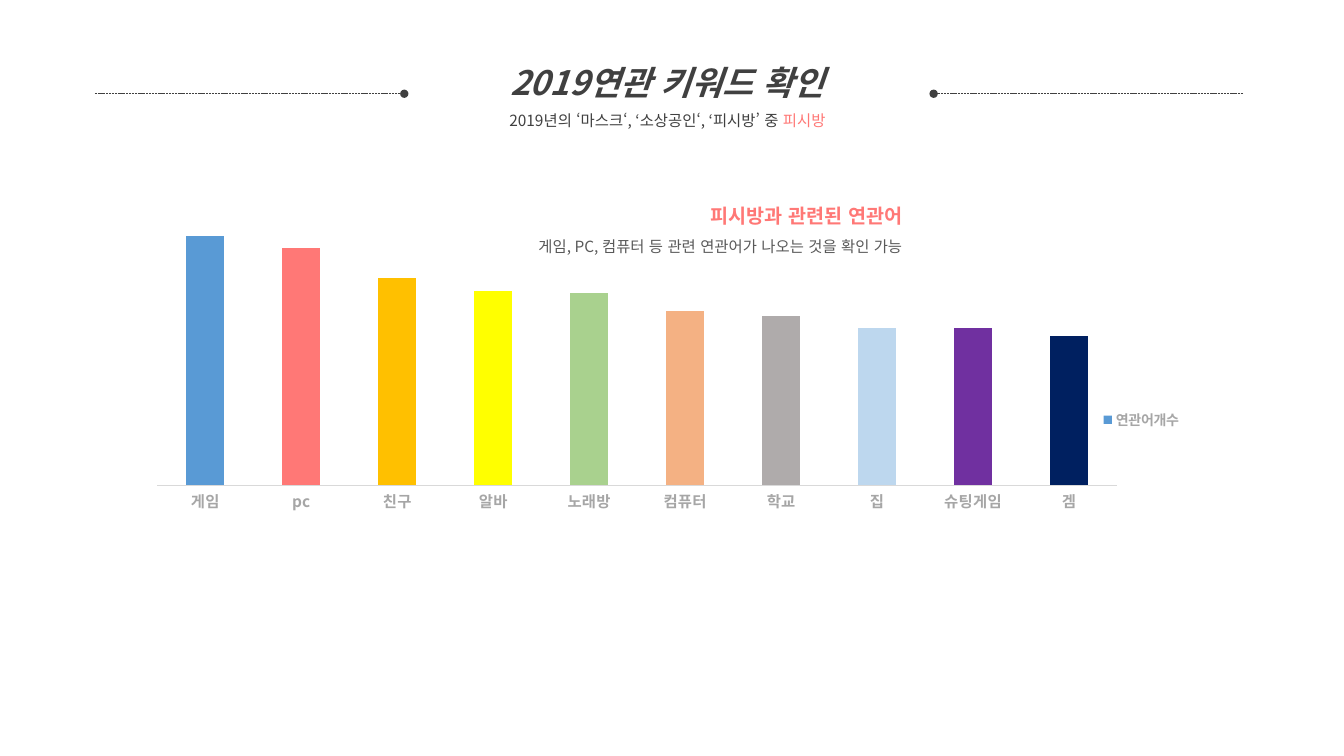
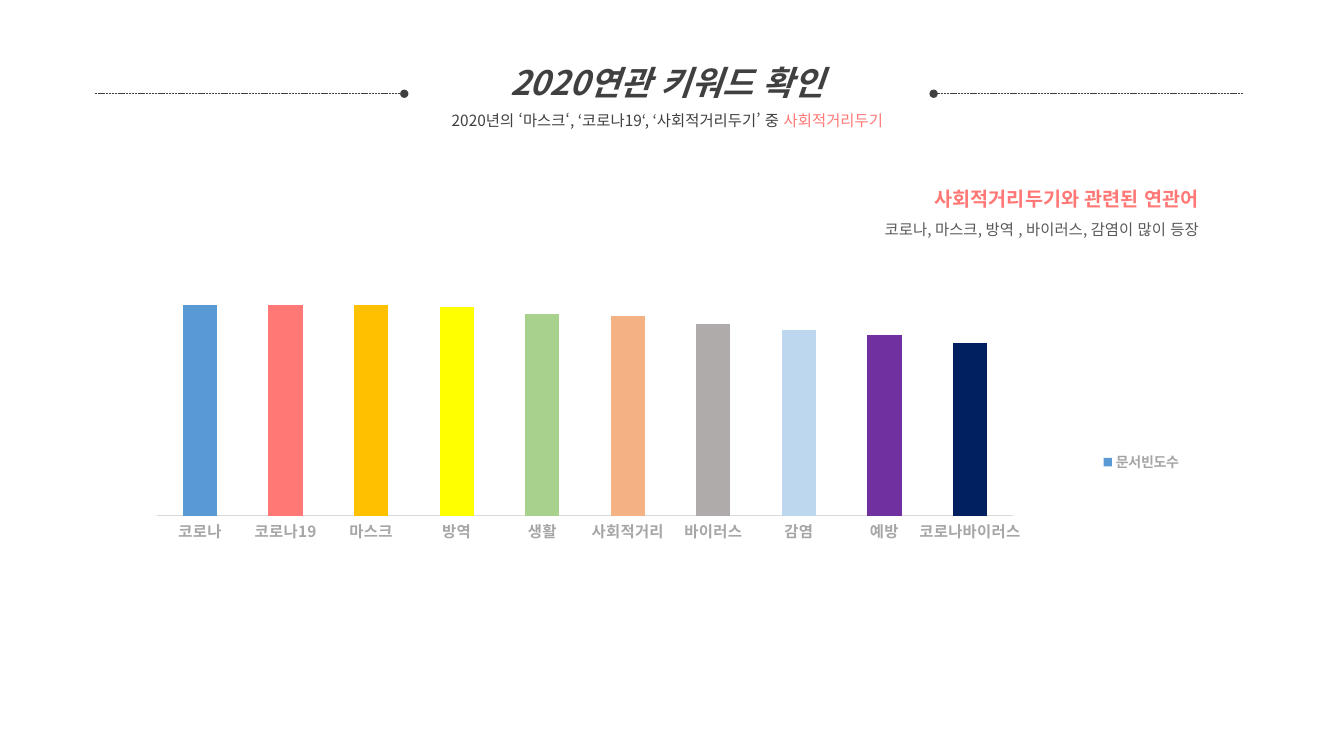
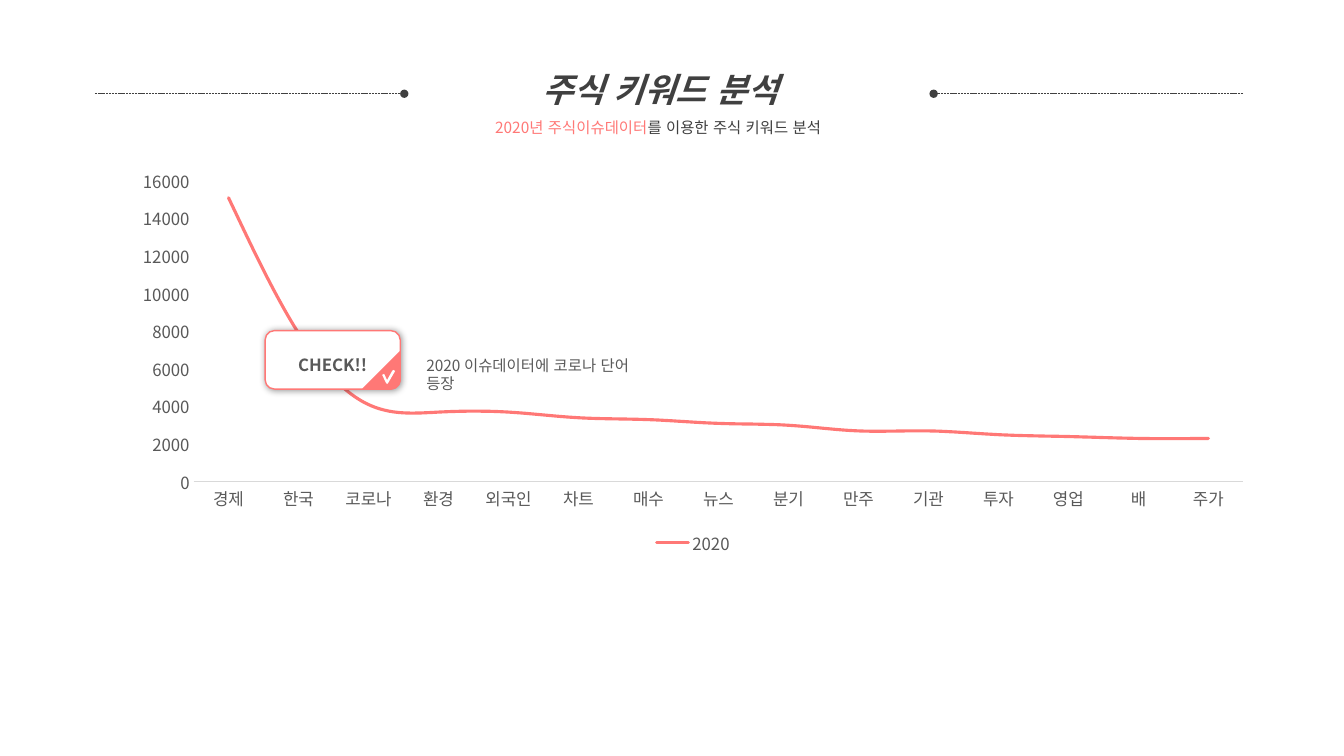
from math import cos, radians, sin

from lxml import etree
from pptx import Presentation
from pptx.chart.data import CategoryChartData
from pptx.dml.color import RGBColor
from pptx.enum.chart import XL_CHART_TYPE, XL_LEGEND_POSITION, XL_TICK_MARK
from pptx.enum.dml import MSO_LINE
from pptx.enum.lang import MSO_LANGUAGE_ID
from pptx.enum.shapes import MSO_CONNECTOR, MSO_SHAPE
from pptx.enum.text import MSO_ANCHOR, MSO_AUTO_SIZE, PP_ALIGN
from pptx.oxml import parse_xml
from pptx.oxml.ns import nsdecls, qn
from pptx.util import Inches, Pt

LEFT, CENTER, RIGHT = PP_ALIGN.LEFT, PP_ALIGN.CENTER, PP_ALIGN.RIGHT
NO_TICK = XL_TICK_MARK.NONE
KOREAN = MSO_LANGUAGE_ID.KOREAN
FONT = "Noto Sans CJK KR"
COLORS = {
    "white": "FFFFFF", "dark": "404040", "body": "595959", "label": "A6A6A6",
    "axis": "D9D9D9", "coral": "FF7876", "blue": "599AD5", "amber": "FFC000",
    "yellow": "FFFF00", "green": "A9D18E", "orange": "F4B183", "gray": "AFABAB",
    "sky": "BDD7EE", "purple": "7030A0", "navy": "002060",
}
RGB = {name: RGBColor.from_string(value) for name, value in COLORS.items()}
BAR_COLORS = ["blue", "coral", "amber", "yellow", "green",
              "orange", "gray", "sky", "purple", "navy"]

# Text formats
TITLE = {"size": Pt(24), "bold": True, "italic": True, "color": "dark"}
SUBTITLE = {"size": Pt(11), "color": "dark"}
ACCENT = {"size": Pt(11), "color": "coral"}
HEADING = {"size": Pt(14), "bold": True, "color": "coral"}
BODY = {"size": Pt(11), "color": "body"}
CARD = {"size": Pt(12), "bold": True, "color": "body"}
BAR_LABEL = {"size": Pt(11), "bold": True, "color": "label"}
BAR_LEGEND = {"size": Pt(10), "bold": True, "color": "label"}
LINE_LABEL = {"size": Pt(12), "color": "body"}


def set_font(font, style):
    for name, value in style.items():
        if name == "color":
            font.color.rgb = RGB[value]
        else:
            setattr(font, name, value)
    font.name = FONT
    etree.SubElement(font._element, qn("a:ea"), typeface=FONT)


def fill_text(frame, paragraphs, align, spacing):
    frame.word_wrap = True
    for index, runs in enumerate(paragraphs):
        paragraph = frame.paragraphs[0] if index == 0 else frame.add_paragraph()
        paragraph.alignment = align
        paragraph.line_spacing = spacing
        for text, style in runs:
            run = paragraph.add_run()
            run.text = text
            set_font(run.font, style)
            run.font.language_id = KOREAN


presentation = Presentation()
presentation.slide_width = Inches(13.33)
presentation.slide_height = Inches(7.5)

# Slide headers: box position and paragraphs
headers = [
    (4.04, 0.36, [
        [("2019연관 키워드 확인", TITLE)],
        [("2019년의 ‘마스크‘, ‘소상공인‘, ‘피시방’ 중 ", SUBTITLE), ("피시방", ACCENT)]]),
    (4.04, 0.36, [
        [("2020연관 키워드 확인", TITLE)],
        [("2020년의 ‘마스크‘, ‘코로나19‘, ‘사회적거리두기’ 중 ", SUBTITLE),
         ("사회적거리두기", ACCENT)]]),
    (3.97, 0.43, [
        [("주식 키워드 분석", TITLE)],
        [("2020년 주식이슈데이터", ACCENT), ("를 이용한 주식 키워드 분석 ", SUBTITLE)]]),
]
slides = []
for left, top, paragraphs in headers:
    slide = presentation.slides.add_slide(presentation.slide_layouts[6])
    slides.append(slide)
    for start, end in ((0.94, 4.01), (12.33, 9.26)):
        rule = slide.shapes.add_connector(MSO_CONNECTOR.STRAIGHT, Inches(start),
                                          Inches(0.93), Inches(end), Inches(0.93))
        rule.line.color.rgb = RGB["dark"]
        rule.line.width = Pt(0.5)
        rule.line.dash_style = MSO_LINE.SQUARE_DOT
        etree.SubElement(rule.line._get_or_add_ln(), qn("a:tailEnd"), type="oval")
        etree.SubElement(rule._element.spPr, qn("a:effectLst"))
    title_box = slide.shapes.add_textbox(Inches(left), Inches(top),
                                         Inches(5.16), Inches(0.98))
    fill_text(title_box.text_frame, paragraphs, CENTER, 1.5)
    title_box.text_frame.auto_size = MSO_AUTO_SIZE.SHAPE_TO_FIT_TEXT

# Keyword column charts
keyword_pages = [
    {"series": "연관어개수", "top": 1.86, "height": 4.61, "plot_width": 0.864, "maximum": 112,
     "values": {"게임": 100, "pc": 95, "친구": 83, "알바": 78, "노래방": 77, "컴퓨터": 70,
                "학교": 68, "집": 63, "슈팅게임": 63, "겜": 60},
     "note_at": (4.04, 1.86),
     "note": [[("피시방과 관련된 연관어", HEADING)],
              [("게임, PC, 컴퓨터 등 관련 연관어가 나오는 것을 확인 가능", BODY)]]},
    {"series": "문서빈도수", "top": 2.7, "height": 3.77, "plot_width": 0.77, "maximum": 108.5,
     "values": {"코로나": 100, "코로나19": 100, "마스크": 100, "방역": 99, "생활": 96,
                "사회적거리": 95, "바이러스": 91, "감염": 88, "예방": 86, "코로나바이러스": 82},
     "note_at": (6.98, 1.69),
     "note": [[("사회적거리두기와 관련된 연관어", HEADING)],
              [("코로나, 마스크, 방역 , 바이러스, 감염이 많이 등장", BODY)]]},
]
for slide, page in zip(slides, keyword_pages):
    data = CategoryChartData()
    data.categories = list(page["values"])
    data.add_series(page["series"], list(page["values"].values()))
    chart = slide.shapes.add_chart(
        XL_CHART_TYPE.COLUMN_CLUSTERED, Inches(0.8), Inches(page["top"]),
        Inches(11.02), Inches(page["height"]), data).chart
    chart.has_title = False
    set_font(chart.font, BAR_LEGEND)

    plot = chart.plots[0]
    plot.vary_by_categories = False
    plot.gap_width = 150
    series = plot.series[0]
    series.format.fill.solid()
    series.format.fill.fore_color.rgb = RGB["blue"]
    for index, color in enumerate(BAR_COLORS[1:], start=1):
        fill = series.points[index].format.fill
        fill.solid()
        fill.fore_color.rgb = RGB[color]

    chart.value_axis.minimum_scale = 0
    chart.value_axis.maximum_scale = page["maximum"]
    chart.value_axis.has_major_gridlines = False
    chart.value_axis.visible = False
    chart.category_axis.major_tick_mark = NO_TICK
    chart.category_axis.format.line.color.rgb = RGB["axis"]
    chart.category_axis.format.line.width = Pt(0.75)
    set_font(chart.category_axis.tick_labels.font, BAR_LABEL)
    chart.has_legend = True
    chart.legend.position = XL_LEGEND_POSITION.RIGHT
    chart.legend.include_in_layout = False
    set_font(chart.legend.font, BAR_LEGEND)

    # Fixed inner plot area
    plot_area = chart._chartSpace.find(".//" + qn("c:plotArea"))
    for layout in plot_area.findall(qn("c:layout")):
        plot_area.remove(layout)
    plot_area.insert(0, parse_xml(
        f'<c:layout {nsdecls("c")}><c:manualLayout><c:layoutTarget val="inner"/>'
        '<c:xMode val="edge"/><c:yMode val="edge"/><c:x val="0.069"/><c:y val="0.04"/>'
        f'<c:w val="{page["plot_width"]}"/><c:h val="0.601"/></c:manualLayout></c:layout>'))

    left, top = page["note_at"]
    note_box = slide.shapes.add_textbox(Inches(left), Inches(top), Inches(5.01), Inches(0.73))
    fill_text(note_box.text_frame, page["note"], RIGHT, 1.5)
    note_box.text_frame.auto_size = MSO_AUTO_SIZE.SHAPE_TO_FIT_TEXT

# Stock keyword line chart, with an empty second series kept out of the legend
slide = slides[2]
stock_keywords = {
    "경제": 15100, "한국": 7900, "코로나": 4100, "환경": 3700, "외국인": 3700,
    "차트": 3400, "매수": 3300, "뉴스": 3100, "분기": 3000, "만주": 2700,
    "기관": 2700, "투자": 2500, "영업": 2400, "배": 2300, "주가": 2300,
}
data = CategoryChartData()
data.categories = list(stock_keywords)
data.add_series("2020", list(stock_keywords.values()))
data.add_series("Series 2", [None] * len(stock_keywords))
chart = slide.shapes.add_chart(XL_CHART_TYPE.LINE, Inches(1.19), Inches(1.59),
                               Inches(11.37), Inches(3.96), data).chart
chart.has_title = False
set_font(chart.font, LINE_LABEL)
chart.plots[0].vary_by_categories = False
for series, color in zip(chart.plots[0].series, ("coral", "blue")):
    series.smooth = True
    series.format.line.color.rgb = RGB[color]
    series.format.line.width = Pt(2.25)
    series.format.line._get_or_add_ln().set("cap", "rnd")
for axis in (chart.category_axis, chart.value_axis):
    axis.major_tick_mark = NO_TICK
    axis.has_major_gridlines = False
    set_font(axis.tick_labels.font, LINE_LABEL)
chart.category_axis.format.line.color.rgb = RGB["axis"]
chart.category_axis.format.line.width = Pt(0.75)
chart.value_axis.format.line.fill.background()
chart.value_axis.minimum_scale = 0
chart.value_axis.maximum_scale = 16000
chart.value_axis.major_unit = 2000
chart.has_legend = True
chart.legend.position = XL_LEGEND_POSITION.BOTTOM
chart.legend.include_in_layout = False
set_font(chart.legend.font, LINE_LABEL)
chart._chartSpace.find(".//" + qn("c:legendPos")).addnext(parse_xml(
    f'<c:legendEntry {nsdecls("c")}><c:idx val="1"/><c:delete val="1"/></c:legendEntry>'))

# Check card with a soft shadow
group = slide.shapes.add_group_shape()
card = group.shapes.add_shape(MSO_SHAPE.ROUNDED_RECTANGLE, Inches(2.63), Inches(3.28),
                              Inches(1.34), Inches(0.58))
card.adjustments[0] = 0.16
card.fill.solid()
card.fill.fore_color.rgb = RGB["white"]
card.line.color.rgb = RGB["coral"]
card.line.width = Pt(1)
card._element.spPr.append(parse_xml(
    f'<a:effectLst {nsdecls("a")}><a:outerShdw blurRad="{Pt(5)}" dist="{Pt(1)}" '
    'dir="2700000" algn="tl" rotWithShape="0"><a:srgbClr val="000000">'
    '<a:alpha val="40000"/></a:srgbClr></a:outerShdw></a:effectLst>'))
card.text_frame.vertical_anchor = MSO_ANCHOR.MIDDLE
fill_text(card.text_frame, [[("CHECK!!", CARD)]], CENTER, 1.5)

# Folded corner with a rounded tip, and its check mark
tip = [(3.87 + 0.1 * cos(radians(angle)), 3.76 + 0.1 * sin(radians(angle)))
       for angle in range(0, 91, 15)]
corner = [(3.6, 3.86), (3.97, 3.49)] + tip
check = [(3.79, 3.72), (3.81, 3.71), (3.84, 3.77), (3.89, 3.68), (3.9, 3.67),
         (3.92, 3.68), (3.85, 3.8), (3.84, 3.81), (3.83, 3.8)]
for points, color, outlined in ((corner, "coral", True), (check, "white", False)):
    points = [(Inches(x), Inches(y)) for x, y in points]
    builder = group.shapes.build_freeform(*points[0])
    builder.add_line_segments(points[1:], close=True)
    shape = builder.convert_to_shape()
    shape.shadow.inherit = False
    shape.fill.solid()
    shape.fill.fore_color.rgb = RGB[color]
    if outlined:
        shape.line.color.rgb = RGB[color]
        shape.line.width = Pt(1)
    else:
        shape.line.fill.background()

# Remark beside the card
remark = slide.shapes.add_textbox(Inches(4.13), Inches(3.48), Inches(2.5), Inches(0.29))
fill_text(remark.text_frame, [[("2020 이슈데이터에 코로나 단어 등장", BODY)]], LEFT, 1)

presentation.save("out.pptx")
